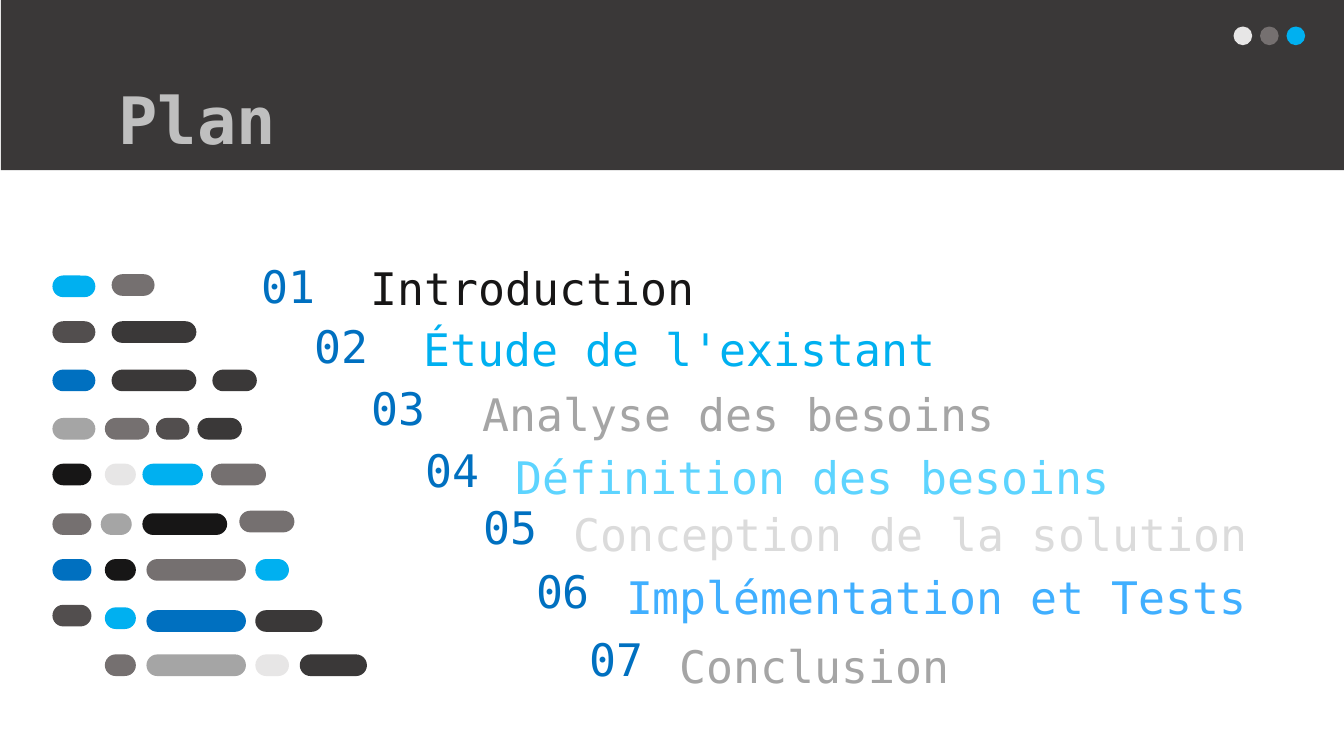
import pptx
import pptx.dml.color
import pptx.enum.shapes
import pptx.enum.text
import pptx.util

Pt = pptx.util.Pt
SHAPE = pptx.enum.shapes.MSO_SHAPE
ANCHOR = pptx.enum.text.MSO_ANCHOR
FONT = "DejaVu Sans Mono"


def paint(target, color, kind, *place):
    """Add a borderless filled shape."""
    shape = target.add_shape(kind, *map(Pt, place))
    shape.shadow.inherit = False
    shape.fill.solid()
    shape.fill.fore_color.rgb = pptx.dml.color.RGBColor.from_string(color)
    shape.line.fill.background()
    return shape


def write(box, place, words, color, size, anchor, bold=False, spacing=1.0, indent=0):
    """Place a box and fill it with one formatted line."""
    for name, value in zip(("left", "top", "width", "height"), place):
        setattr(box, name, Pt(value))
    frame = box.text_frame
    layout = {"word_wrap": True, "auto_size": pptx.enum.text.MSO_AUTO_SIZE.NONE,
              "vertical_anchor": anchor, "margin_left": Pt(7.2 + indent),
              "margin_right": Pt(7.2), "margin_top": Pt(7.2), "margin_bottom": Pt(7.2)}
    for name, value in layout.items():
        setattr(frame, name, value)
    para = frame.paragraphs[0]
    para.alignment = pptx.enum.text.PP_ALIGN.LEFT
    para.line_spacing = spacing
    span = para.add_run()
    span.text = words
    for name, value in {"name": FONT, "size": Pt(size), "bold": bold}.items():
        setattr(span.font, name, value)
    span.font.color.rgb = pptx.dml.color.RGBColor.from_string(color)


deck = pptx.Presentation()
deck.slide_width, deck.slide_height = Pt(720), Pt(405)
page = deck.slides.add_slide(deck.slide_layouts[5])

# Header band, behind the title
band = paint(page.shapes, "3A3838", SHAPE.RECTANGLE, 0.5, 0, 719.5, 91.2)
page.shapes._spTree.insert(2, band._element)
write(page.shapes.title, (56.2, 35.3, 607, 45.4), "Plan", "BFBFBF", 35,
      ANCHOR.TOP, bold=True)

# Three dots
dots = page.shapes.add_group_shape()
for index, color in enumerate(("E7E6E6", "757070", "00B0F0")):
    paint(dots.shapes, color, SHAPE.OVAL, 660.8 + 14.2 * index, 14.2, 10, 10)

# Code-like bars: top of the row, then left, width and colour of each bar
rows = [
    (147.6, [(28.1, 23, "00B0F0")]),
    (146.9, [(59.8, 23, "757070")]),
    (172.1, [(28.1, 23, "524E4E"), (59.8, 45.4, "3A3838")]),
    (198, [(28.1, 23, "0070C0"), (59.8, 45.4, "3A3838"), (113.8, 23.8, "3A3838")]),
    (223.9, [(28.1, 23, "A5A5A5"), (56.2, 23.8, "757070"), (83.5, 18, "524E4E"),
             (105.8, 23.8, "3A3838")]),
    (248.4, [(28.1, 20.9, "171616"), (56.2, 16.6, "E7E6E6"), (76.3, 32.4, "00B0F0"),
             (113, 29.5, "757070")]),
    (275, [(28.1, 20.9, "757070"), (54, 16.6, "A5A5A5"), (76.3, 45.4, "171616")]),
    (273.6, [(128.2, 29.5, "757070")]),
    (299.5, [(28.1, 20.9, "0070C0"), (56.2, 16.6, "171616"), (78.5, 53.3, "757070"),
             (136.8, 18, "00B0F0")]),
    (324, [(28.1, 20.9, "524E4E")]),
    (325.4, [(56.2, 16.6, "00B0F0")]),
    (326.9, [(78.5, 53.3, "0070C0"), (136.8, 36, "3A3838")]),
    (350.6, [(56.2, 16.6, "757070"), (78.5, 53.3, "A5A5A5"), (136.8, 18, "E7E6E6"),
             (160.6, 36, "3A3838")]),
]
bars = page.shapes.add_group_shape()
for top, row in rows:
    for left, width, color in row:
        bar = paint(bars.shapes, color, SHAPE.ROUNDED_RECTANGLE, left, top, width, 11.6)
        bar.adjustments[0] = 0.5

# Agenda: number left, top, number height, entry left, width, indent, colour, words
agenda = [
    (133.2, 137.5, 31, 180.7, 331.2, 10.8, "171616", "Introduction"),
    (161.3, 169.9, 31, 208.8, 506.9, 10.8, "00B0F0", "Étude de l'existant"),
    (192.2, 205.2, 26, 240.5, 331.2, 10.8, "A5A5A5", "Analyse des besoins"),
    (221, 238.7, 26, 269.3, 450, 0, "5DD4FF", "Définition des besoins"),
    (252, 269.3, 26, 300, 400, 0, "DBDBDB", "Conception de la solution"),
    (280.1, 303.1, 26, 328.3, 390, 0, "40AFFF", "Implémentation et Tests"),
    (308.9, 339.8, 26, 357.1, 331.2, 0, "A5A5A5", "Conclusion"),
]
for number, (left, top, height, start, width, indent, color, words) in enumerate(agenda, 1):
    for place, text, shade, anchor, spacing, inset in (
            ((left, top, 47.5, height), f"{number:02}", "0070C0", ANCHOR.MIDDLE, 1.0, 0),
            ((start, top, width, 38.2), words, color, ANCHOR.BOTTOM, 1.15, indent)):
        box = page.shapes.add_textbox(0, 0, 0, 0)
        write(box, place, text, shade, 24, anchor, spacing=spacing, indent=inset)

deck.save("out.pptx")
